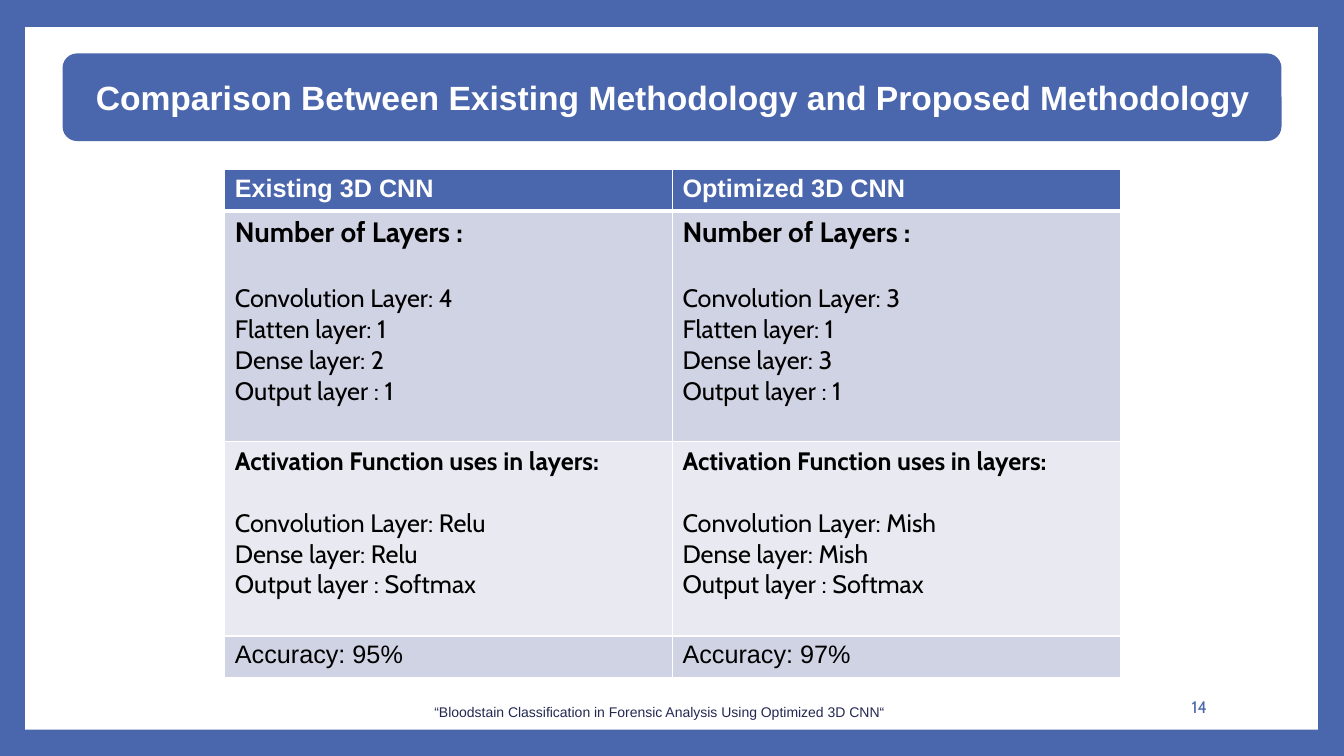
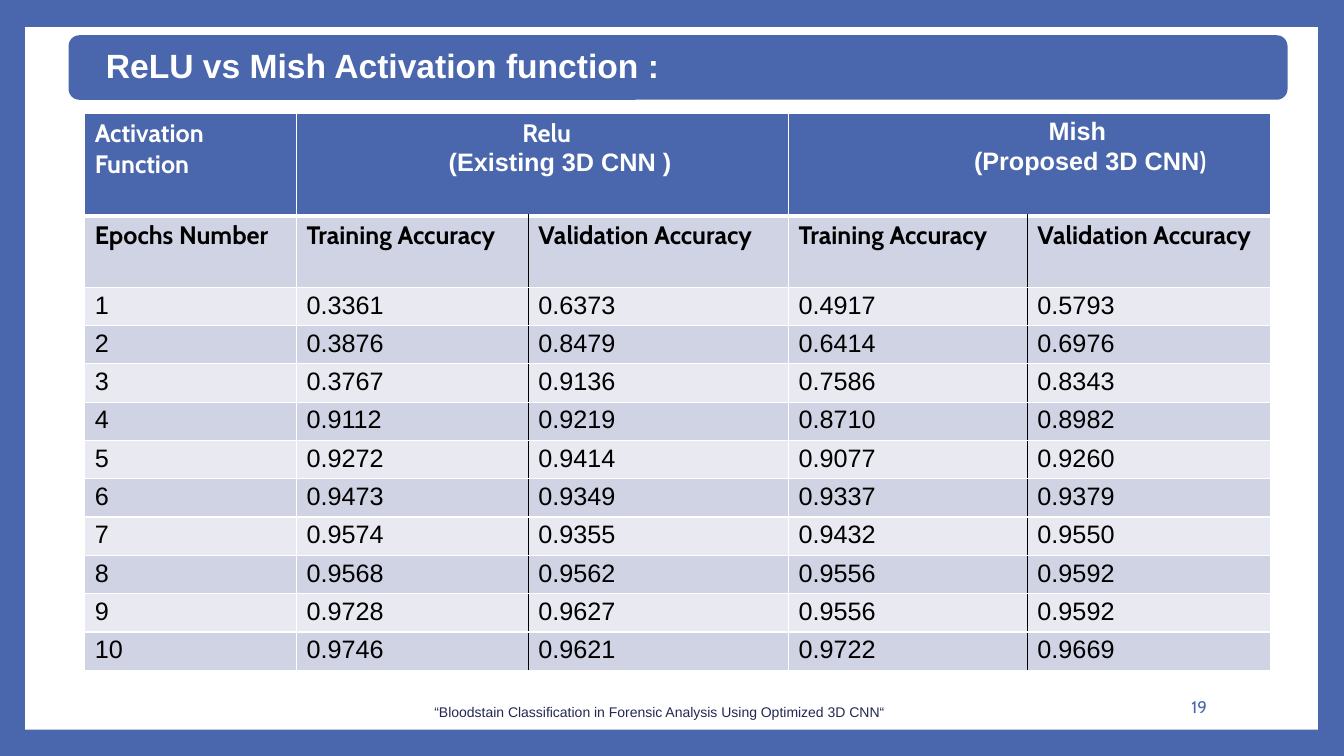
from dataclasses import dataclass

from lxml.etree import SubElement
from pptx import Presentation
from pptx.dml.color import RGBColor
from pptx.enum.shapes import MSO_SHAPE
from pptx.enum.text import MSO_ANCHOR, MSO_AUTO_SIZE, PP_ALIGN
from pptx.oxml.ns import qn
from pptx.util import Inches, Pt

COLORS = {
    "blue": "4A66AC",
    "navy": "242852",
    "white": "FFFFFF",
    "black": "000000",
    "band_dark": "D0D3E3",
    "band_light": "E9EAF1",
}
FOOTER = "“Bloodstain Classification in Forensic Analysis Using Optimized 3D CNN“"


@dataclass
class Line:
    text: str
    font: str = "Arial"
    bold: bool = False
    size: int = 18
    space_after: int = 0
    indent: float = 0
    cabin_tail: str = ""


MODELS = [
    {
        "name": "Existing 3D CNN",
        "layers": ["Convolution Layer: 4", "Flatten layer: 1", "Dense layer: 2", "Output layer : 1"],
        "activations": ["Convolution Layer: Relu", "Dense layer: Relu", "Output layer : Softmax"],
        "accuracy": "Accuracy: 95%",
    },
    {
        "name": "Optimized 3D CNN",
        "layers": ["Convolution Layer: 3", "Flatten layer: 1", "Dense layer: 3", "Output layer : 1"],
        "activations": ["Convolution Layer: Mish", "Dense layer: Mish", "Output layer : Softmax"],
        "accuracy": "Accuracy: 97%",
    },
]
ACTIVATION_HEADER = [
    [Line("Activation Function", "Cabin", True)],
    [Line("Relu", "Cabin", True, indent=2.14), Line("(Existing 3D CNN )", bold=True, indent=1.41)],
    [],
    [
        Line("Mish", bold=True, indent=2.48),
        Line("(Proposed 3D CNN", bold=True, indent=1.74, cabin_tail=")"),
    ],
    [],
]
ACCURACY_HEADER = ["Epochs Number"] + ["Training Accuracy", "Validation Accuracy"] * 2
ACCURACIES = [
    ("0.3361", "0.6373", "0.4917", "0.5793"),
    ("0.3876", "0.8479", "0.6414", "0.6976"),
    ("0.3767", "0.9136", "0.7586", "0.8343"),
    ("0.9112", "0.9219", "0.8710", "0.8982"),
    ("0.9272", "0.9414", "0.9077", "0.9260"),
    ("0.9473", "0.9349", "0.9337", "0.9379"),
    ("0.9574", "0.9355", "0.9432", "0.9550"),
    ("0.9568", "0.9562", "0.9556", "0.9592"),
    ("0.9728", "0.9627", "0.9556", "0.9592"),
    ("0.9746", "0.9621", "0.9722", "0.9669"),
]


def rgb(name):
    return RGBColor.from_string(COLORS[name])


def box(values):
    return [Inches(value) for value in values]


def format_run(run, font, size, color, bold=False):
    run.font.name = font
    run.font.size = Pt(size)
    run.font.bold = bold
    run.font.color.rgb = rgb(color)


def add_panel(slide, kind, position, color):
    shape = slide.shapes.add_shape(kind, *box(position))
    shape.shadow.inherit = False
    shape.fill.solid()
    shape.fill.fore_color.rgb = rgb(color)
    shape.line.fill.background()
    return shape


def add_text(slide, position, text, font, size, color, alignment, anchor):
    frame = slide.shapes.add_textbox(*box(position)).text_frame
    frame.word_wrap = True
    frame.vertical_anchor = anchor
    paragraph = frame.paragraphs[0]
    paragraph.text = text
    paragraph.alignment = alignment
    format_run(paragraph.runs[0], font, size, color)
    return paragraph


def set_up_master(presentation, slide):
    master = presentation.slide_master
    master.background.fill.solid()
    master.background.fill.fore_color.rgb = rgb("blue")
    panel = add_panel(slide, MSO_SHAPE.RECTANGLE, (0.25, 0.27, 12.82, 6.97), "white")
    panel.element.nvSpPr.cNvPr.set("id", "100")
    master.shapes.element.insert(2, panel.element)


def add_frame(slide, title_text, band_position, title_position, number):
    band = add_panel(slide, MSO_SHAPE.ROUNDED_RECTANGLE, band_position, "blue")
    slide.shapes.element.insert(2, band.element)
    title = slide.shapes.title
    title.left, title.top, title.width, title.height = box(title_position)
    frame = title.text_frame
    frame.text = title_text
    frame.word_wrap = True
    frame.auto_size = MSO_AUTO_SIZE.NONE
    frame.vertical_anchor = MSO_ANCHOR.MIDDLE
    frame.margin_left = frame.margin_right = Inches(0.12)
    frame.margin_top = frame.margin_bottom = Inches(0.12)
    paragraph = frame.paragraphs[0]
    paragraph.alignment = PP_ALIGN.LEFT
    paragraph.line_spacing = 0.9
    format_run(paragraph.runs[0], "Arial", 24, "white", True)
    footer = add_text(slide, (4.21, 6.95, 5, 0.3), FOOTER, "Arial", 10, "navy",
                      PP_ALIGN.LEFT, MSO_ANCHOR.TOP)
    footer.line_spacing = 0.9
    add_text(slide, (10.2, 6.81, 1.87, 0.4), str(number), "Cabin", 12, "blue",
             PP_ALIGN.RIGHT, MSO_ANCHOR.MIDDLE)


def set_borders(cell, borders):
    properties = cell._tc.get_or_add_tcPr()
    for side in "LRTB":
        color, width = borders.get(side, ("white", 1))
        line = SubElement(properties, qn(f"a:ln{side}"), w=str(Pt(width)))
        fill = SubElement(line, qn("a:solidFill"))
        SubElement(fill, qn("a:srgbClr"), val=COLORS[color])


def fill_cell(cell, lines, color):
    frame = cell.text_frame
    for index, line in enumerate(lines):
        paragraph = frame.add_paragraph() if index else frame.paragraphs[0]
        paragraph.text = line.text
        paragraph.space_after = Pt(line.space_after)
        if line.indent:
            properties = paragraph._p.get_or_add_pPr()
            properties.set("marL", str(Inches(line.indent)))
            properties.set("indent", "0")
        format_run(paragraph.runs[0], line.font, line.size, color, line.bold)
        if line.cabin_tail:
            tail = paragraph.add_run()
            tail.text = line.cabin_tail
            format_run(tail, "Cabin", line.size, color, line.bold)


def add_grid(slide, left, top, widths, heights, rows, merges=(), divided=(), margin=0.05):
    position = box((left, top, sum(widths), sum(heights)))
    table = slide.shapes.add_table(len(rows), len(widths), *position).table
    for column, width in zip(table.columns, widths):
        column.width = Inches(width)
    for row, height in zip(table.rows, heights):
        row.height = Inches(height)
    for first, last in merges:
        table.cell(0, first).merge(table.cell(0, last))
    for row_index, row in enumerate(rows):
        for column_index, lines in enumerate(row):
            cell = table.cell(row_index, column_index)
            cell.margin_top = cell.margin_bottom = Inches(margin)
            borders = {}
            if row_index == 0:
                borders["B"] = ("white", 3)
                background, color = "blue", "white"
            else:
                if row_index == 1:
                    borders["T"] = ("white", 3)
                if column_index in divided:
                    borders["L"] = ("black", 1)
                if column_index + 1 in divided:
                    borders["R"] = ("black", 1)
                background = "band_dark" if row_index % 2 else "band_light"
                color = "black"
            set_borders(cell, borders)
            cell.fill.solid()
            cell.fill.fore_color.rgb = rgb(background)
            fill_cell(cell, lines, color)


def cabin_list(heading, size, gap, items):
    return [Line(heading, "Cabin", True, size, gap)] + [Line(item, "Cabin") for item in items]


def build_comparison(slide):
    add_frame(slide, "Comparison Between Existing Methodology and Proposed Methodology",
              (0.62, 0.53, 12.09, 0.87), (0.83, 0.56, 11.89, 0.85), 14)
    rows = [
        [[Line(model["name"], bold=True)] for model in MODELS],
        [cabin_list("Number of Layers :", 20, 24, model["layers"]) for model in MODELS],
        [cabin_list("Activation Function uses in layers:", 18, 22, model["activations"])
         for model in MODELS],
        [[Line(model["accuracy"])] for model in MODELS],
    ]
    add_grid(slide, 2.23, 1.68, [4.44, 4.44], [0.41, 2.29, 1.93, 0.41], rows)


def build_activation(slide):
    add_frame(slide, "ReLU vs Mish Activation function :",
              (0.68, 0.35, 12.09, 0.64), (0.93, 0.45, 11.77, 0.45), 19)
    rows = [ACTIVATION_HEADER, [[Line(text, "Cabin", True)] for text in ACCURACY_HEADER]]
    for epoch, values in enumerate(ACCURACIES, 1):
        rows.append([[Line(text)] for text in (str(epoch), *values)])
    heights = [1.01, 0.71] + [0.38] * len(ACCURACIES)
    add_grid(slide, 0.84, 1.13, [2.1, 2.3, 2.58, 2.37, 2.41], heights, rows,
             merges=[(1, 2), (3, 4)], divided=(2, 4), margin=0.04)


def main():
    presentation = Presentation()
    presentation.slide_width = Inches(13.33)
    presentation.slide_height = Inches(7.5)
    title_only = presentation.slide_layouts[5]
    comparison, activation = [presentation.slides.add_slide(title_only) for _ in range(2)]
    set_up_master(presentation, comparison)
    build_comparison(comparison)
    build_activation(activation)
    presentation.save("out.pptx")


if __name__ == "__main__":
    main()
